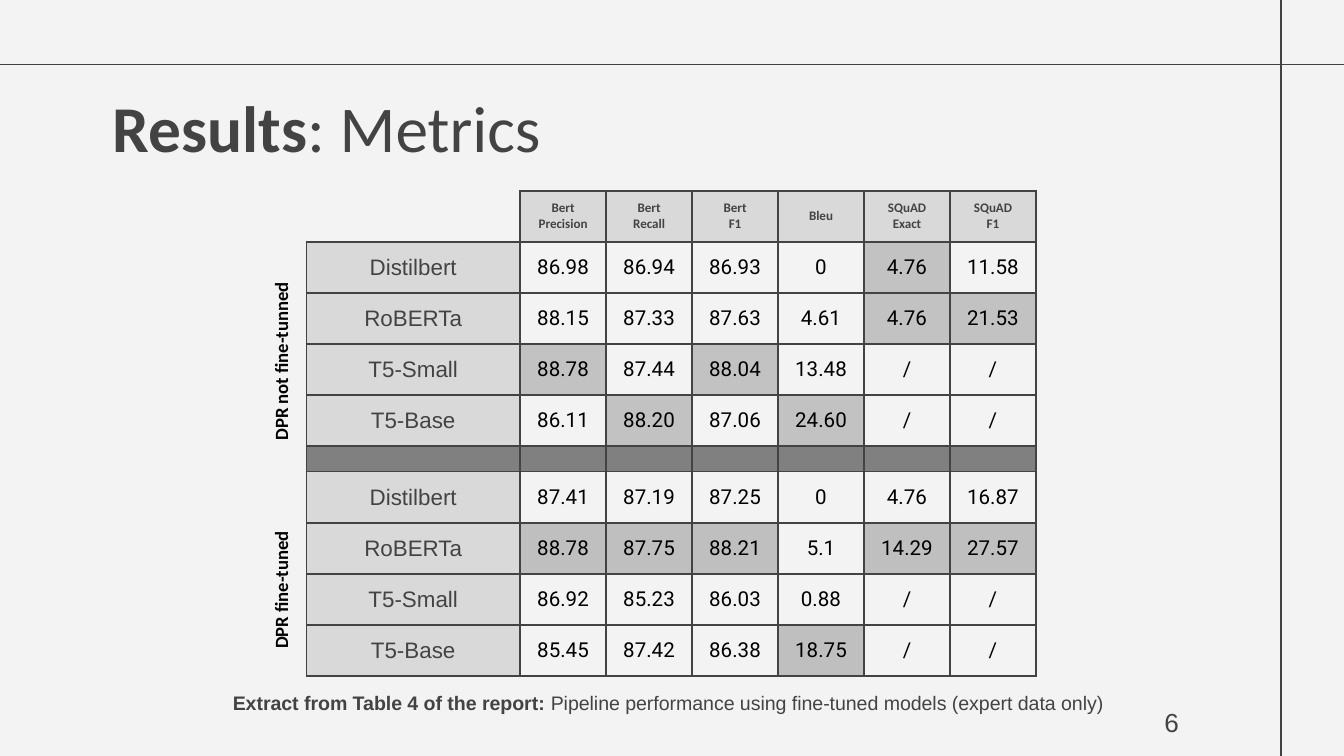
import pptx
import pptx.util
import pptx.dml.color
import pptx.enum.shapes
import pptx.enum.text
import pptx.oxml.ns
import lxml.etree

Inches, Pt = pptx.util.Inches, pptx.util.Pt
RGBColor = pptx.dml.color.RGBColor
ALIGN = pptx.enum.text.PP_ALIGN
qn = pptx.oxml.ns.qn

PAPER = RGBColor(0xF3, 0xF3, 0xF3)
INK = RGBColor(0x43, 0x43, 0x43)
BLACK = RGBColor(0, 0, 0)
LABEL = RGBColor(0xD9, 0xD9, 0xD9)
BAND = RGBColor(0x80, 0x80, 0x80)
BEST_TOP = RGBColor(0xC2, 0xC2, 0xC2)
BEST_LOW = RGBColor(0xBF, 0xBF, 0xBF)

PLAIN_STYLE = "{2D5ABB26-0587-4C30-8999-92F81FD0307C}"
SIDES = ("L", "R", "T", "B")
HEADS = ["Bert\nPrecision", "Bert\nRecall", "Bert\nF1", "Bleu",
         "SQuAD\nExact", "SQuAD\nF1"]
# Each row: model, scores, columns of the best scores
RAW = [
    ("Distilbert", "86.98 86.94 86.93 0 4.76 11.58", {5}),
    ("RoBERTa", "88.15 87.33 87.63 4.61 4.76 21.53", {5, 6}),
    ("T5-Small", "88.78 87.44 88.04 13.48 / /", {1, 3}),
    ("T5-Base", "86.11 88.20 87.06 24.60 / /", {2, 4}),
]
TUNED = [
    ("Distilbert", "87.41 87.19 87.25 0 4.76 16.87", set()),
    ("RoBERTa", "88.78 87.75 88.21 5.1 14.29 27.57", {1, 2, 3, 5, 6}),
    ("T5-Small", "86.92 85.23 86.03 0.88 / /", set()),
    ("T5-Base", "85.45 87.42 86.38 18.75 / /", {4}),
]


def style(run, size, font, color, bold=False):
    run.font.size = Pt(size)
    run.font.name = font
    run.font.color.rgb = color
    run.font.bold = bold


def add_text(slide, box, parts, size, font, color=INK, align=ALIGN.LEFT,
             turn=0, inset=0.1):
    """Place one line of text; parts are (words, bold) pairs."""
    shape = slide.shapes.add_textbox(*map(Inches, box))
    shape.rotation = turn
    frame = shape.text_frame
    frame.word_wrap = True
    frame.margin_left = frame.margin_right = Inches(0.1)
    frame.margin_top = frame.margin_bottom = Inches(inset)
    line = frame.paragraphs[0]
    line.alignment = align
    for words, bold in parts:
        run = line.add_run()
        run.text = words
        style(run, size, font, color, bold)


def add_rules(slide, width, height):
    """Draw the two thin lines that cross near the top right."""
    for ends in ((9.53, 0, 9.53, height), (0, 0.48, width, 0.48)):
        rule = slide.shapes.add_connector(
            pptx.enum.shapes.MSO_CONNECTOR.STRAIGHT, *map(Inches, ends))
        rule.line.color.rgb = INK
        rule.line.width = Pt(0.75)
        lxml.etree.SubElement(rule._element.spPr, qn("a:effectLst"))


def set_edges(cell, sides):
    props = cell._tc.get_or_add_tcPr()
    for side in SIDES:
        edge = lxml.etree.SubElement(props, qn("a:ln" + side), w=str(Pt(1)))
        if side in sides:
            fill = lxml.etree.SubElement(edge, qn("a:solidFill"))
            lxml.etree.SubElement(fill, qn("a:srgbClr"), val=str(INK))
        else:
            lxml.etree.SubElement(edge, qn("a:noFill"))


def fill_cell(cell, color, text="", look=(7, "Calibri", INK), sides=SIDES):
    """Set edges, fill and text; a color of None leaves the cell clear."""
    set_edges(cell, sides)
    if color is None:
        cell.fill.background()
    else:
        cell.fill.solid()
        cell.fill.fore_color.rgb = color
    cell.margin_left = cell.margin_right = 0
    cell.margin_top = cell.margin_bottom = 0
    cell.vertical_anchor = pptx.enum.text.MSO_ANCHOR.MIDDLE
    cell.text_frame.text = text
    for line in cell.text_frame.paragraphs:
        line.alignment = ALIGN.CENTER
        for run in line.runs:
            style(run, *look)
        if not text:
            # Small empty line, so that the row keeps its height
            line._p.get_or_add_endParaRPr().set("sz", "700")


def fill_block(table, top, rows, best):
    for r, (model, scores, marks) in enumerate(rows, top):
        fill_cell(table.cell(r, 0), LABEL, model, (12, "Arial", INK))
        for c, score in enumerate(scores.split(), 1):
            fill_cell(table.cell(r, c), best if c in marks else PAPER,
                      score, (11, "Roboto", BLACK))


def add_scores(slide, box):
    split = len(RAW) + 1
    count = split + 1 + len(TUNED)
    frame = slide.shapes.add_table(count, len(HEADS) + 1, *map(Inches, box))
    table = frame.table
    table.first_row = table.horz_banding = False
    table._tbl.tblPr.find(qn("a:tableStyleId")).text = PLAIN_STYLE
    for c, col in enumerate(table.columns):
        col.width = Inches(0.64 if c else 1.59)
    for r, row in enumerate(table.rows):
        row.height = Inches(0.19 if r == split else 0.38)
    fill_cell(table.cell(0, 0), None, sides=("R", "B"))
    for c, head in enumerate(HEADS, 1):
        fill_cell(table.cell(0, c), LABEL, head, (7, "Calibri", INK, True))
    fill_block(table, 1, RAW, BEST_TOP)
    for c in range(len(HEADS) + 1):
        fill_cell(table.cell(split, c), BAND)
    fill_block(table, split + 1, TUNED, BEST_LOW)


def main():
    width = 10
    height = width * 9 / 16
    deck = pptx.Presentation()
    deck.slide_width, deck.slide_height = Inches(width), Inches(height)
    slide = deck.slides.add_slide(deck.slide_layouts[6])
    slide.background.fill.solid()
    slide.background.fill.fore_color.rgb = PAPER

    add_rules(slide, width, height)
    add_text(slide, (0.74, 0.55, 8.67, 0.53),
             [("Results", True), (": Metrics", False)], 35, "Calibri")
    add_text(slide, (8.27, 5.16, 0.6, 0.43), [("6", False)], 14, "Arial",
             align=ALIGN.RIGHT)
    add_scores(slide, (2.28, 1.42, 5.43, 3.61))
    for box, words in (((0.69, 1.84, 2.8, 0.27), "DPR not fine-tunned"),
                       ((0.59, 3.29, 3, 0.27), "DPR fine-tuned")):
        add_text(slide, box, [(words, True)], 10, "Calibri", BLACK,
                 turn=270, inset=0.05)
    add_text(slide, (0.66, 5.05, 8.67, 0.24),
             [("Extract from Table 4 of the report: ", True),
              ("Pipeline performance using fine-tuned models "
               "(expert data only) ", False)],
             10.5, "Arial", align=ALIGN.CENTER)
    deck.save("out.pptx")


if __name__ == "__main__":
    main()
